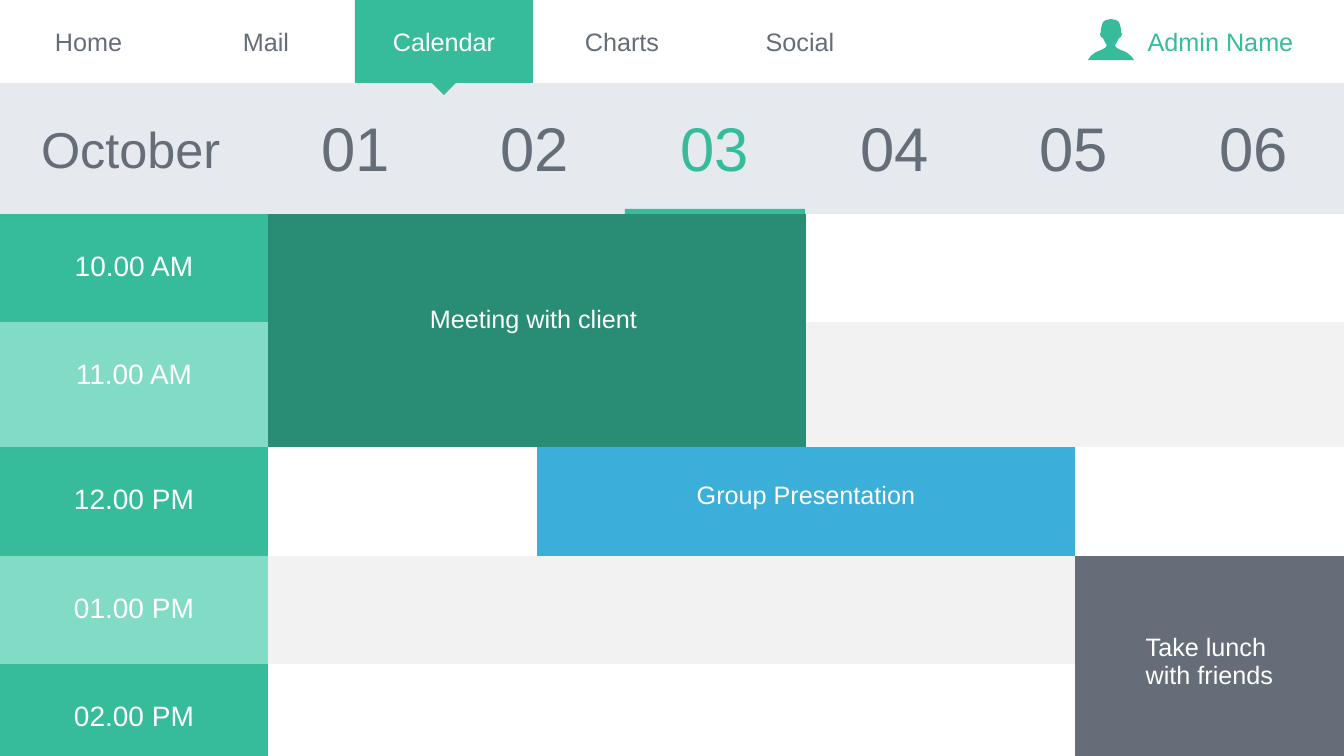
import pptx
import pptx.util
import pptx.dml.color
import pptx.enum.shapes
import pptx.enum.text

RGBColor = pptx.dml.color.RGBColor
GREEN = RGBColor(0x36, 0xBC, 0x9B)
LIGHT_GREEN = RGBColor(0x82, 0xDB, 0xC5)
DARK_GREEN = RGBColor(0x28, 0x8D, 0x74)
BLUE = RGBColor(0x3B, 0xAE, 0xDA)
SLATE = RGBColor(0x65, 0x6D, 0x78)
MIST = RGBColor(0xE6, 0xE9, 0xEE)
PALE = RGBColor(0xF2, 0xF2, 0xF2)
WHITE = RGBColor(0xFF, 0xFF, 0xFF)

SHAPE = pptx.enum.shapes.MSO_SHAPE
ALIGN = pptx.enum.text.PP_ALIGN
ANCHOR = pptx.enum.text.MSO_ANCHOR
NO_GRID_STYLE = "{2D5ABB26-0587-4C30-8999-92F81FD0307C}"

EMU_PER_PX = 914400 / 100.8
WIDTH, HEIGHT = 1344, 756
TAB_HEIGHT = 83
TABLE_TOP = 214
TABS = ["Home", "Mail", "Calendar", "Charts", "Social"]
ACTIVE_TAB = "Calendar"
DAYS = ["01", "02", "03", "04", "05", "06"]
ACTIVE_DAY = "03"
HOURS = [("10.00 AM", 108), ("11.00 AM", 123), ("12.00 PM", 109),
         ("01.00 PM", 108), ("02.00 PM", 94)]
EVENTS = [
    ("Meeting with client ", (0, 1), (1, 2), DARK_GREEN, 92),
    ("Group Presentation", (2, 2), (2, 3), BLUE, 34),
    ("Take lunch \nwith friends", (3, 4), (4, 4), SLATE, 77),
]
AVATAR_AXIS = 1111
AVATAR_HALF = [(0, 19), (5, 20), (8, 22), (9, 25), (10, 29), (10, 32), (11, 34),
               (10, 37), (8, 38), (6, 42), (5, 44), (4, 45), (5, 47), (6, 48),
               (10, 50), (15, 52), (19, 55), (21, 57), (23, 60)]


def px(length):
    return pptx.util.Emu(round(length * EMU_PER_PX))


def edges(start, end, count):
    return [start + index * (end - start) // count for index in range(count + 1)]


class Dashboard:
    font = "Arial"

    def __init__(self, presentation):
        self.slide = presentation.slides.add_slide(presentation.slide_layouts[5])
        self.shapes = self.slide.shapes
        self.slide.background.fill.solid()
        self.slide.background.fill.fore_color.rgb = PALE

    def set_text(self, frame, text, size, color, align=ALIGN.CENTER):
        frame.text = text
        for paragraph in frame.paragraphs:
            paragraph.alignment = align
            for run in paragraph.runs:
                run.font.name = self.font
                run.font.size = pptx.util.Pt(size)
                run.font.color.rgb = color

    def paint(self, shape, color):
        shape.shadow.inherit = False
        shape.fill.solid()
        shape.fill.fore_color.rgb = color
        shape.line.fill.background()

    def block(self, left, top, width, height, color, kind=SHAPE.RECTANGLE):
        shape = self.shapes.add_shape(kind, px(left), px(top), px(width), px(height))
        self.paint(shape, color)
        return shape

    def tab(self, left, width, text, color, fill):
        shape = self.block(left, 0, width, TAB_HEIGHT, fill)
        shape.text_frame.vertical_anchor = ANCHOR.MIDDLE
        self.set_text(shape.text_frame, text, 18, color)

    def label(self, left, top, width, height, text, size, color):
        shape = self.shapes.add_textbox(px(left), px(top), px(width), px(height))
        shape.text_frame.word_wrap = True
        shape.text_frame.vertical_anchor = ANCHOR.MIDDLE
        self.set_text(shape.text_frame, text, size, color)

    def title(self, left, top, width, height, text):
        shape = self.shapes.title
        shape.left, shape.top = px(left), px(top)
        shape.width, shape.height = px(width), px(height)
        shape.text_frame.auto_size = pptx.enum.text.MSO_AUTO_SIZE.NONE
        shape.text_frame.vertical_anchor = ANCHOR.MIDDLE
        self.set_text(shape.text_frame, text, 36, SLATE, ALIGN.LEFT)
        self.shapes.element.append(shape.element)

    def outline(self, points, color):
        builder = self.shapes.build_freeform(*points[0], scale=EMU_PER_PX)
        builder.add_line_segments(points[1:], close=True)
        self.paint(builder.convert_to_shape(), color)

    def table(self, top, column_edges, row_heights):
        frame = self.shapes.add_table(
            len(row_heights), len(column_edges) - 1, 0, px(top),
            px(column_edges[-1]), px(sum(row_heights)))
        table = frame.table
        table.first_row = table.horz_banding = False
        table._tbl.tblPr[0].text = NO_GRID_STYLE
        for column, left, right in zip(table.columns, column_edges, column_edges[1:]):
            column.width = px(right - left)
        for row, height in zip(table.rows, row_heights):
            row.height = px(height)
        return table

    def cell(self, cell, fill, text="", size=18, margin_top=5):
        cell.fill.solid()
        cell.fill.fore_color.rgb = fill
        if text:
            cell.margin_top = px(margin_top)
            self.set_text(cell.text_frame, text, size, WHITE)


def main():
    presentation = pptx.Presentation()
    presentation.slide_width, presentation.slide_height = px(WIDTH), px(HEIGHT)
    dashboard = Dashboard(presentation)

    table = dashboard.table(TABLE_TOP, edges(0, WIDTH, 5), [height for _, height in HOURS])
    for row, (hour, _) in enumerate(HOURS):
        hour_fill, slot_fill = (LIGHT_GREEN, PALE) if row % 2 else (GREEN, WHITE)
        dashboard.cell(table.cell(row, 0), hour_fill, hour, 20, 37)
        for column in range(1, 5):
            dashboard.cell(table.cell(row, column), slot_fill)
    for text, first, last, fill, margin_top in EVENTS:
        origin = table.cell(*first)
        origin.merge(table.cell(*last))
        dashboard.cell(origin, fill, text, 18, margin_top)

    dashboard.block(0, TAB_HEIGHT, WIDTH, TABLE_TOP - TAB_HEIGHT, MIST)
    tab_edges = edges(0, 889, len(TABS))
    for text, left, right in zip(TABS, tab_edges, tab_edges[1:]):
        color, fill = (WHITE, GREEN) if text == ACTIVE_TAB else (SLATE, WHITE)
        dashboard.tab(left, right - left, text, color, fill)
        if text == ACTIVE_TAB:
            pointer = dashboard.block((left + right) // 2 - 12, TAB_HEIGHT, 24, 12,
                                      GREEN, SHAPE.ISOSCELES_TRIANGLE)
            pointer.rotation = 180
    dashboard.block(tab_edges[-1], 0, WIDTH - tab_edges[-1], TAB_HEIGHT, WHITE)

    dashboard.label(1120, 21, 201, 40, "Admin Name", 18, GREEN)
    right_half = [(AVATAR_AXIS + offset, y) for offset, y in AVATAR_HALF]
    left_half = [(AVATAR_AXIS - offset, y) for offset, y in reversed(AVATAR_HALF[1:])]
    dashboard.outline(right_half + left_half, GREEN)

    day_edges = edges(266, WIDTH, len(DAYS))
    for text, left, right in zip(DAYS, day_edges, day_edges[1:]):
        color = GREEN if text == ACTIVE_DAY else SLATE
        dashboard.label(left, 106, right - left, 81, text, 44, color)
        if text == ACTIVE_DAY:
            dashboard.block(left, 209, right - left, 5, GREEN)
    dashboard.title(31, 108, 222, 81, "October")

    presentation.save("out.pptx")


if __name__ == "__main__":
    main()
